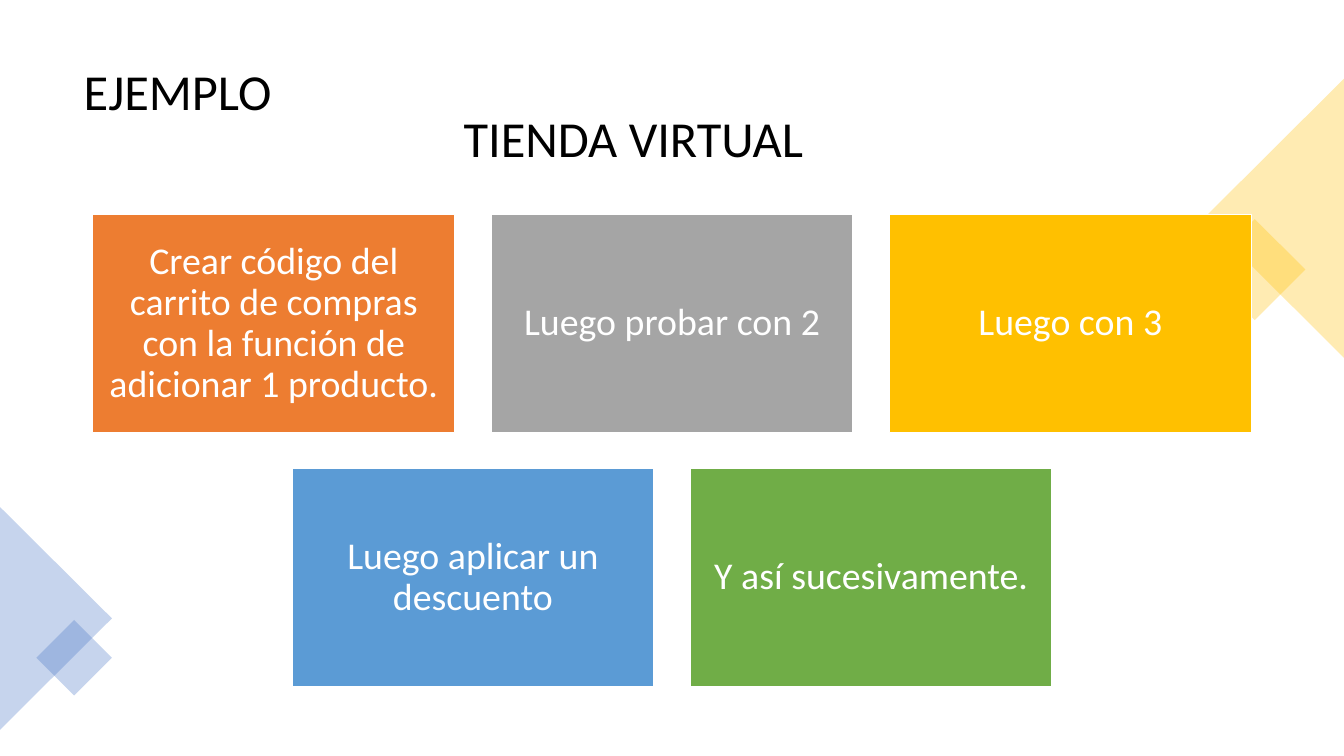
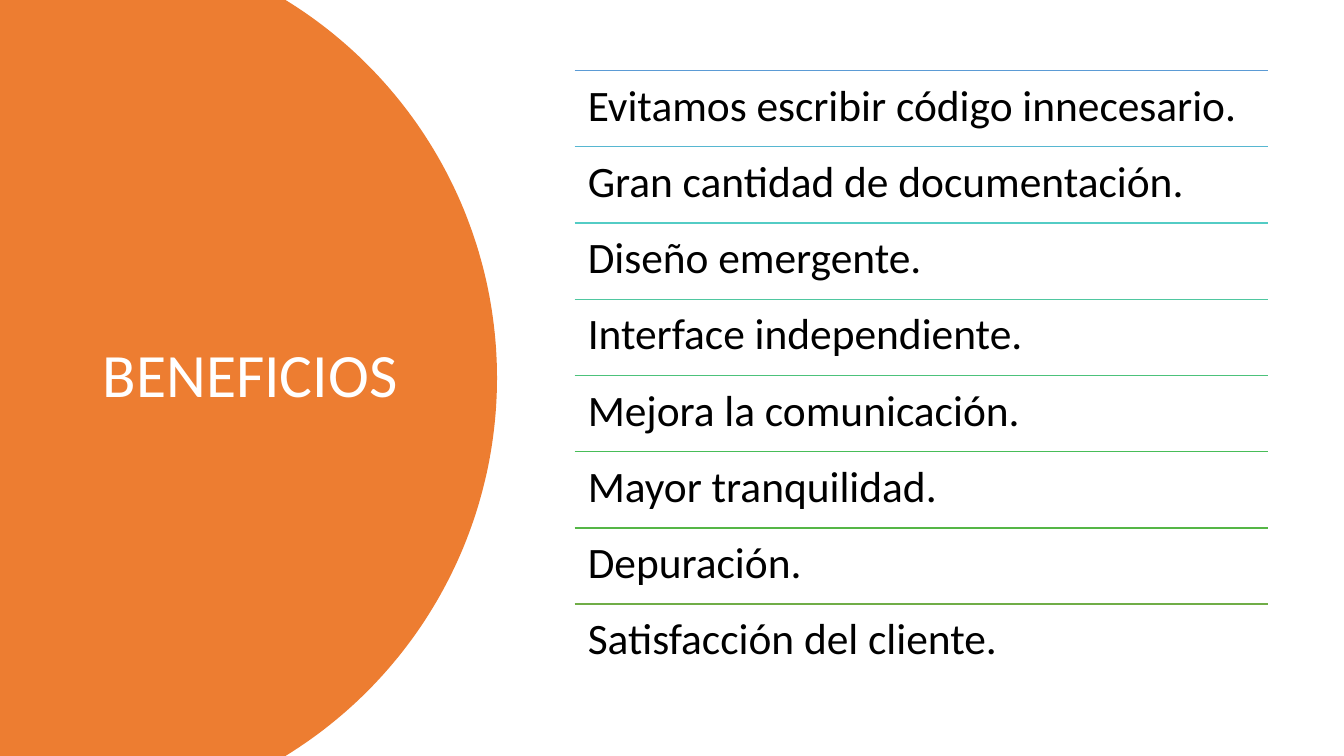
import math
from dataclasses import dataclass

from lxml import etree
from pptx import Presentation
from pptx import slide as sl
from pptx import util as u
from pptx.dml import color
from pptx.enum import shapes, text
from pptx.oxml import ns
from pptx.shapes import base
from pptx.text import text as tx


@dataclass(frozen=True)
class Theme:
    font: str = "Calibri"
    black: str = "000000"
    white: str = "FFFFFF"
    orange: str = "ED7D31"
    gray: str = "A5A5A5"
    gold: str = "FFC000"
    blue: str = "5B9BD5"
    indigo: str = "4472C4"
    green: str = "70AD47"
    rules: tuple[str, ...] = ("57B7D1", "53CCC5", "4FC7A0", "4CC27B", "48BD58", "55B646")
    title_size: int = 36
    side_title_size: int = 44
    card_size: int = 27
    benefit_size: int = 31
    line_width: int = 1
    decoration_opacity: int = 30


@dataclass(frozen=True)
class Box:
    left: float
    top: float
    width: float
    height: float

    def lengths(self) -> tuple[u.Length, ...]:
        return tuple(u.Inches(v) for v in (self.left, self.top, self.width, self.height))


@dataclass(frozen=True)
class Decoration:
    box: Box
    preset: shapes.MSO_SHAPE
    rotation: int
    fill: str


@dataclass(frozen=True)
class Card:
    label: str
    fill: str


@dataclass(frozen=True)
class Benefit:
    label: str
    rule: str


THEME = Theme()
SLIDE_WIDTH, SLIDE_HEIGHT = 13.33, 7.5
TITLE_ONLY = 5

DECORATIONS = (
    Decoration(Box(12.09, 2.32, 0.71, 0.71), shapes.MSO_SHAPE.RECTANGLE, 45, THEME.gold),
    Decoration(Box(11.25, 1.47, 2.77, 1.39), shapes.MSO_SHAPE.ISOSCELES_TRIANGLE, 270, THEME.gold),
    Decoration(Box(-0.55, 5.58, 2.21, 1.11), shapes.MSO_SHAPE.ISOSCELES_TRIANGLE, 90, THEME.indigo),
    Decoration(Box(0.47, 6.26, 0.53, 0.53), shapes.MSO_SHAPE.RECTANGLE, 45, THEME.indigo),
)

CARD_ROWS = (
    (
        Card("Crear código del carrito de compras con la función de adicionar 1 producto.", THEME.orange),
        Card("Luego probar con 2", THEME.gray),
        Card("Luego con 3", THEME.gold),
    ),
    (
        Card("Luego aplicar un descuento", THEME.blue),
        Card("Y así sucesivamente.", THEME.green),
    ),
)

BENEFIT_LABELS = (
    "Evitamos escribir código innecesario.",
    "Gran cantidad de documentación.",
    "Diseño emergente.",
    "Interface independiente.",
    "Mejora la comunicación.",
    "Mayor tranquilidad.",
    "Depuración.",
    "Satisfacción del cliente.",
)
BENEFITS = tuple(
    Benefit(label, rule)
    for label, rule in zip(BENEFIT_LABELS, (THEME.blue, *THEME.rules, THEME.green))
)


def rgb(value: str) -> color.RGBColor:
    return color.RGBColor.from_string(value)


def write_text(
    frame: tx.TextFrame,
    content: str,
    size: int,
    font_color: str,
    inset: float = 0.1,
    alignment: text.PP_ALIGN = text.PP_ALIGN.LEFT,
    anchor: text.MSO_ANCHOR = text.MSO_ANCHOR.MIDDLE,
) -> None:
    frame.text = content
    frame.word_wrap = True
    frame.auto_size = text.MSO_AUTO_SIZE.NONE
    frame.vertical_anchor = anchor
    frame.margin_left = frame.margin_right = u.Inches(inset)
    frame.margin_top = frame.margin_bottom = u.Inches(min(inset, 0.05) if inset == 0.1 else inset)
    paragraph = frame.paragraphs[0]
    paragraph.alignment = alignment
    paragraph.line_spacing = 0.9
    paragraph.font.name = THEME.font
    paragraph.font.size = u.Pt(size)
    paragraph.font.color.rgb = rgb(font_color)


def paint(shape: base.BaseShape, fill: str) -> None:
    shape.shadow.inherit = False
    shape.fill.solid()
    shape.fill.fore_color.rgb = rgb(fill)
    shape.line.fill.background()


def set_title(slide: sl.Slide, content: str, box: Box, size: int, font_color: str) -> None:
    title = slide.shapes.title
    title.left, title.top, title.width, title.height = box.lengths()
    write_text(title.text_frame, content, size, font_color)


def add_decoration(slide: sl.Slide, decoration: Decoration) -> None:
    shape = slide.shapes.add_shape(decoration.preset, *decoration.box.lengths())
    shape.rotation = decoration.rotation
    paint(shape, decoration.fill)
    fill_color = shape.element.spPr.find(ns.qn("a:solidFill"))[0]
    alpha = etree.SubElement(fill_color, ns.qn("a:alpha"))
    alpha.set("val", str(THEME.decoration_opacity * 1000))


def add_card(slide: sl.Slide, card: Card, box: Box) -> None:
    shape = slide.shapes.add_shape(shapes.MSO_SHAPE.RECTANGLE, *box.lengths())
    paint(shape, card.fill)
    shape.line.color.rgb = rgb(THEME.white)
    shape.line.width = u.Pt(THEME.line_width)
    write_text(shape.text_frame, card.label, THEME.card_size, THEME.white, 0.11, text.PP_ALIGN.CENTER)


def add_card_rows(slide: sl.Slide) -> None:
    width, height, gap, top = 3.59, 2.16, 0.36, 2.13
    for row, cards in enumerate(CARD_ROWS):
        row_width = len(cards) * (width + gap) - gap
        left = (SLIDE_WIDTH - row_width) / 2
        for column, card in enumerate(cards):
            box = Box(left + column * (width + gap), top + row * (height + gap), width, height)
            add_card(slide, card, box)


def add_round_panel(slide: sl.Slide) -> None:
    radius, center_x, center_y = 4.4, 0.53, SLIDE_HEIGHT / 2
    limit = math.asin(center_y / radius)
    steps = 120
    angles = [limit * (2 * step / steps - 1) for step in range(steps + 1)]
    arc = [(center_x + radius * math.cos(a), center_y + radius * math.sin(a)) for a in angles]
    outline = [(u.Inches(x), u.Inches(y)) for x, y in [*arc, (0, SLIDE_HEIGHT)]]
    builder = slide.shapes.build_freeform(0, 0)
    builder.add_line_segments(outline, close=True)
    panel = builder.convert_to_shape()
    paint(panel, THEME.orange)
    slide.shapes.title.element.addprevious(panel.element)


def add_benefit(slide: sl.Slide, benefit: Benefit, box: Box) -> None:
    left, top, width, _ = box.lengths()
    rule = slide.shapes.add_connector(shapes.MSO_CONNECTOR.STRAIGHT, left, top, left + width, top)
    rule.line.color.rgb = rgb(benefit.rule)
    rule.line.width = u.Pt(THEME.line_width)
    etree.SubElement(rule.element.spPr, ns.qn("a:effectLst"))
    label = slide.shapes.add_textbox(*box.lengths())
    write_text(
        label.text_frame, benefit.label, THEME.benefit_size, THEME.black, 0.13,
        anchor=text.MSO_ANCHOR.TOP,
    )


def build_example(slide: sl.Slide) -> None:
    set_title(slide, "EJEMPLO", Box(0.73, 0.31, 11.93, 1.24), THEME.title_size, THEME.black)
    for decoration in DECORATIONS:
        add_decoration(slide, decoration)
    add_card_rows(slide)
    subtitle = slide.shapes.add_textbox(*Box(4.5, 0.78, 3.86, 1.24).lengths())
    write_text(subtitle.text_frame, "TIENDA VIRTUAL", THEME.title_size, THEME.black)


def build_benefits(slide: sl.Slide) -> None:
    set_title(slide, "BENEFICIOS", Box(0.92, 0.7, 3.23, 6.09), THEME.side_title_size, THEME.white)
    add_round_panel(slide)
    top, row_height = 0.7, 6.05 / len(BENEFITS)
    for row, benefit in enumerate(BENEFITS):
        add_benefit(slide, benefit, Box(5.7, top + row * row_height, 6.88, row_height))


def main() -> None:
    presentation = Presentation()
    presentation.slide_width = u.Inches(SLIDE_WIDTH)
    presentation.slide_height = u.Inches(SLIDE_HEIGHT)
    for build in (build_example, build_benefits):
        build(presentation.slides.add_slide(presentation.slide_layouts[TITLE_ONLY]))
    presentation.save("out.pptx")


if __name__ == "__main__":
    main()
